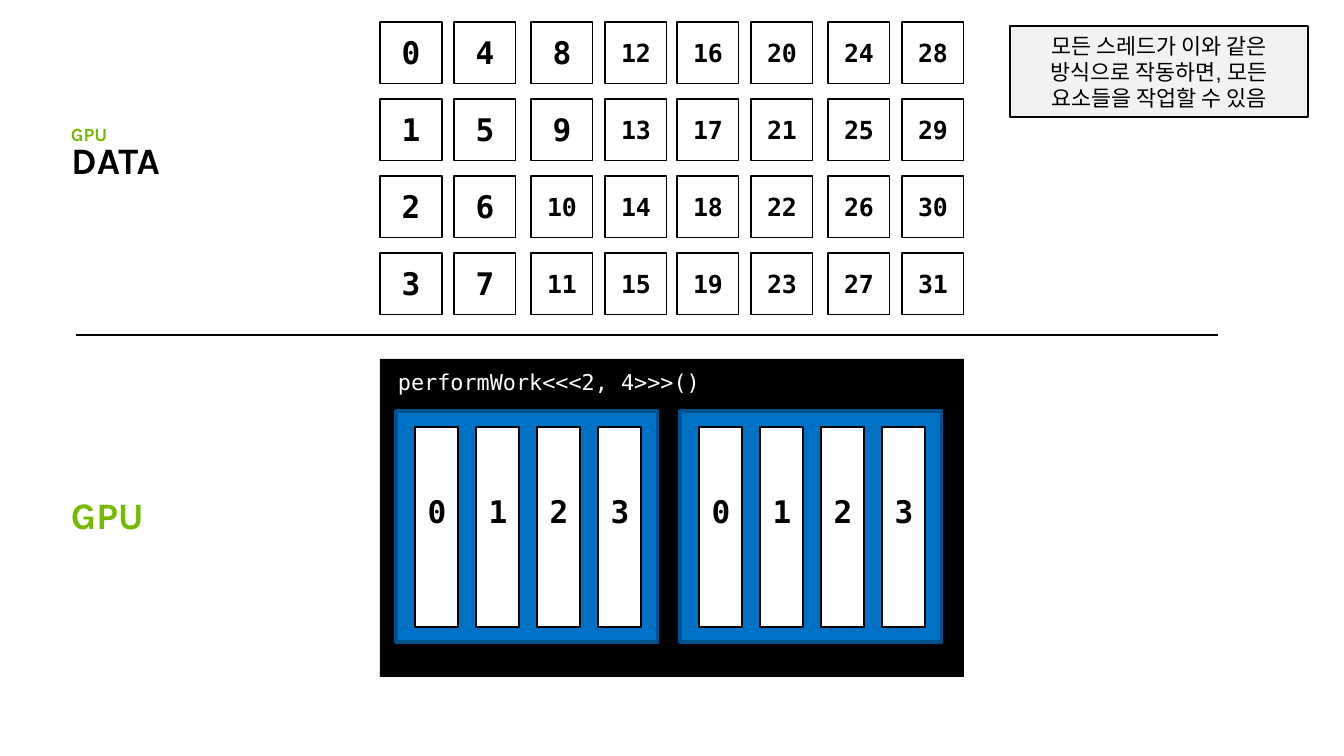
from lxml import etree
from pptx import Presentation
from pptx.dml.color import RGBColor
from pptx.enum.shapes import MSO_CONNECTOR, MSO_SHAPE
from pptx.enum.text import MSO_ANCHOR, MSO_AUTO_SIZE, PP_ALIGN
from pptx.oxml.ns import qn
from pptx.util import Pt

PX = 914400 // 112
RECT, LINE = MSO_SHAPE.RECTANGLE, MSO_CONNECTOR.STRAIGHT
MID, LOW = MSO_ANCHOR.MIDDLE, MSO_ANCHOR.BOTTOM
LEFT, MIDDLE = PP_ALIGN.LEFT, PP_ALIGN.CENTER
FIXED = MSO_AUTO_SIZE.NONE
MONO = "DejaVu Sans Mono"
BLACK, WHITE, GREEN = "000000", "FFFFFF", "76B900"

TITLE = ("DATA", (60, 137, 123, 51), 24, BLACK)
HEADS = [
    ("GPU", (60, 492, 109, 51), 24, GREEN),
    ("GPU", (60, 120, 62, 31), 12, GREEN),
]
NOTE = "모든 스레드가 이와 같은 방식으로 작동하면, 모든 요소들을 작업할 수 있음"
CALL = "performWork<<<2, 4>>>()"
COLS = [380, 454, 531, 605, 677, 751, 828, 902]
ROWS = [22, 99, 176, 253]
CELL = 62
BLOCKS = [396, 680]
THREADS = 4
STEP = 61


def color(code):
    return RGBColor.from_string(code)


def px(box):
    return [v * PX for v in box]


def box(place, fill, edge=None, width=0.75):
    shape = slide.shapes.add_shape(RECT, *px(place))
    shape.shadow.inherit = False
    shape.fill.solid()
    shape.fill.fore_color.rgb = color(fill)
    if edge:
        shape.line.color.rgb = color(edge)
        shape.line.width = Pt(width)
    else:
        shape.line.fill.background()
    return shape


def write(shape, text, size, code, font, align=LEFT, anchor=MID, bold=False, space=1.0):
    frame = shape.text_frame
    frame.text = text
    para = frame.paragraphs[0]
    formats = [
        (frame, {"word_wrap": True, "auto_size": FIXED, "vertical_anchor": anchor}),
        (para, {"alignment": align, "line_spacing": space}),
        (para.font, {"name": font, "size": Pt(size), "bold": bold}),
    ]
    for part, values in formats:
        for name, value in values.items():
            setattr(part, name, value)
    para.font.color.rgb = color(code)


def head(shape, text, size, code):
    write(shape, text, size, code, "Karla", anchor=LOW, bold=True, space=0.9)


def number(value, x, y):
    """Write a bold index in a text box whose top left corner is x, y."""
    label = slide.shapes.add_textbox(*px((x, y, 58, 49)))
    size = 20 if value < 10 else 16
    write(label, str(value), size, BLACK, MONO, MIDDLE, bold=True)


deck = Presentation()
deck.slide_width, deck.slide_height = px((1344, 756))
slide = deck.slides.add_slide(deck.slide_layouts[5])

text, place, size, code = TITLE
title = slide.shapes.title
title.left, title.top, title.width, title.height = px(place)
head(title, text, size, code)
for text, place, size, code in HEADS:
    head(slide.shapes.add_textbox(*px(place)), text, size, code)

box((380, 359, 584, 318), BLACK)
write(box((387, 368, 342, 28), BLACK), CALL, 14, WHITE, MONO)
for left in BLOCKS:
    box((left, 411, 262, 231), "0071C5", "00528F", 2)
    for thread in range(THREADS):
        x = left + 19 + thread * STEP
        box((x, 427, 43, 200), WHITE, BLACK)
        number(thread, x - 7, 487)

for col, x in enumerate(COLS):
    for row, y in enumerate(ROWS):
        box((x, y, CELL, CELL), WHITE, BLACK)
        number(col * len(ROWS) + row, x + 2, y + 6)

rule = slide.shapes.add_connector(LINE, *px((76, 335, 1218, 335)))
rule.line.color.rgb = color(BLACK)
rule.line.width = Pt(1.5)
etree.SubElement(rule.element.spPr, qn("a:effectLst"))

note = box((1010, 26, 298, 91), "F2F2F2", BLACK)
write(note, NOTE, 14, BLACK, "Arial", MIDDLE)

deck.save("out.pptx")
